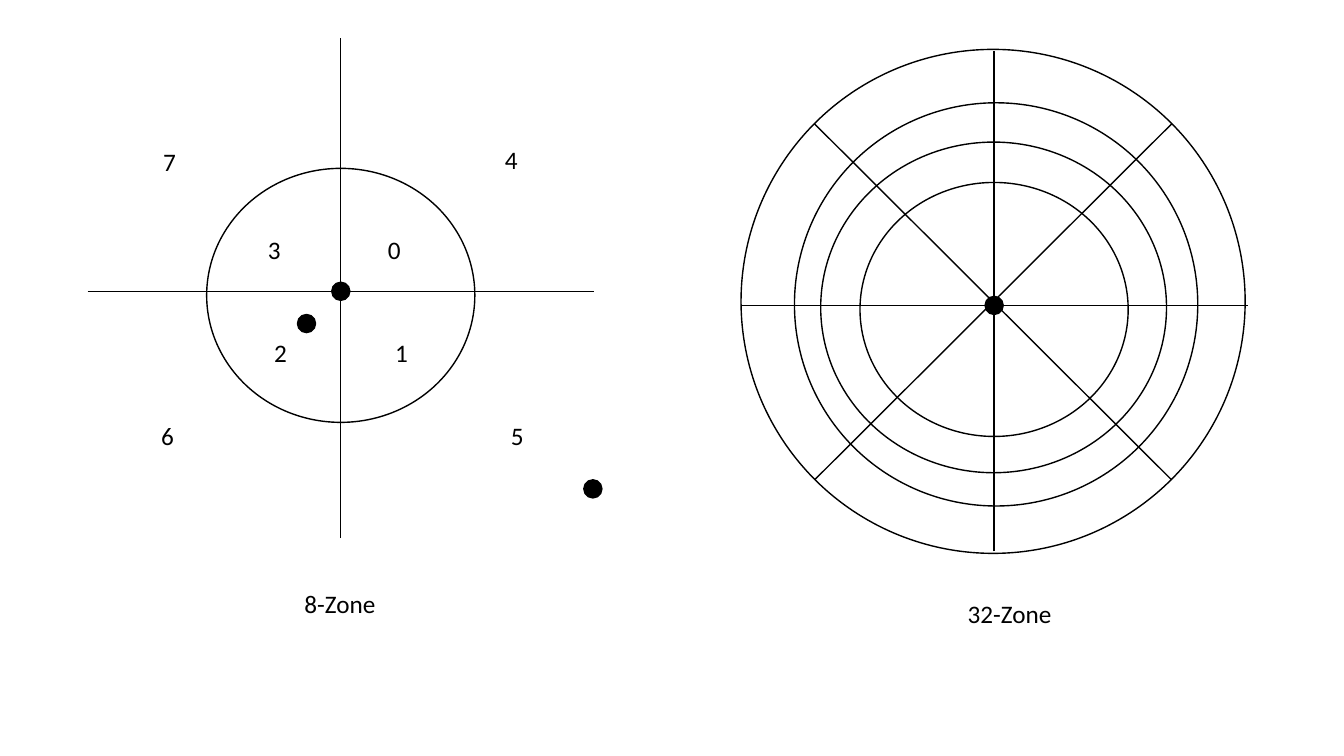
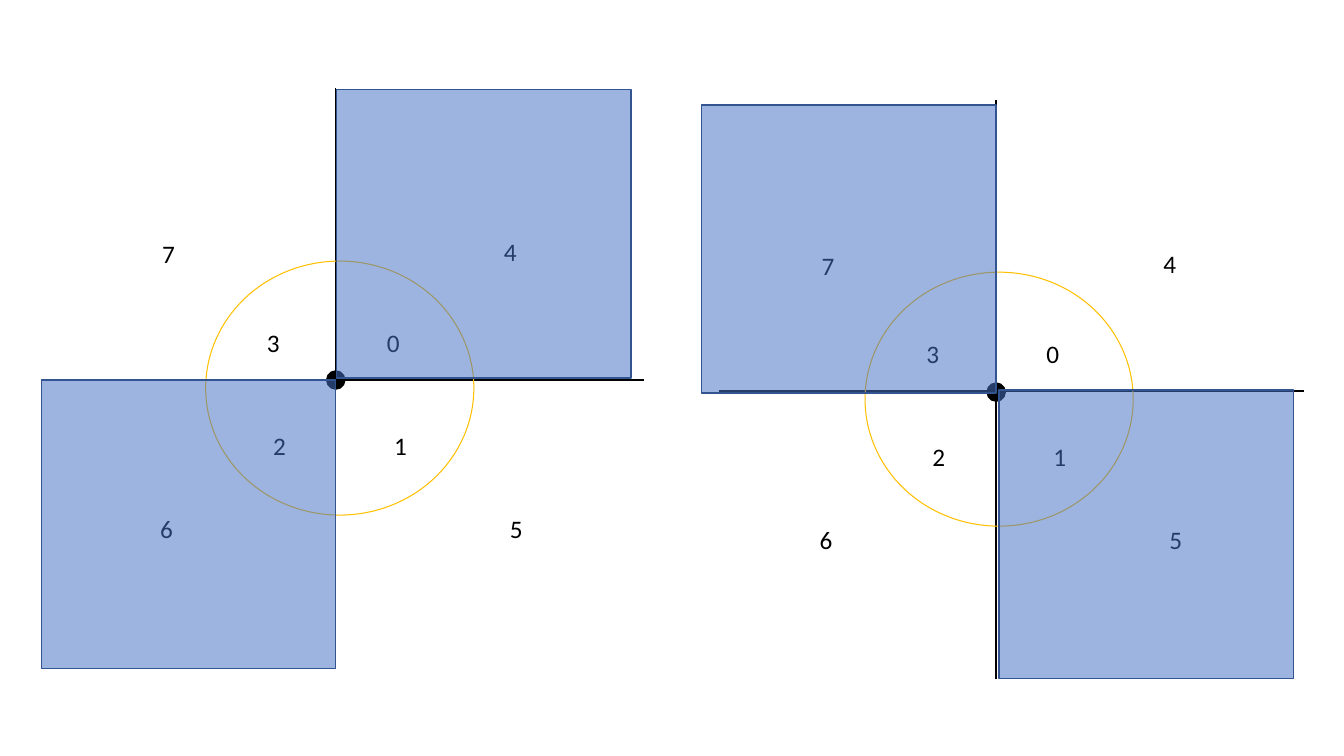
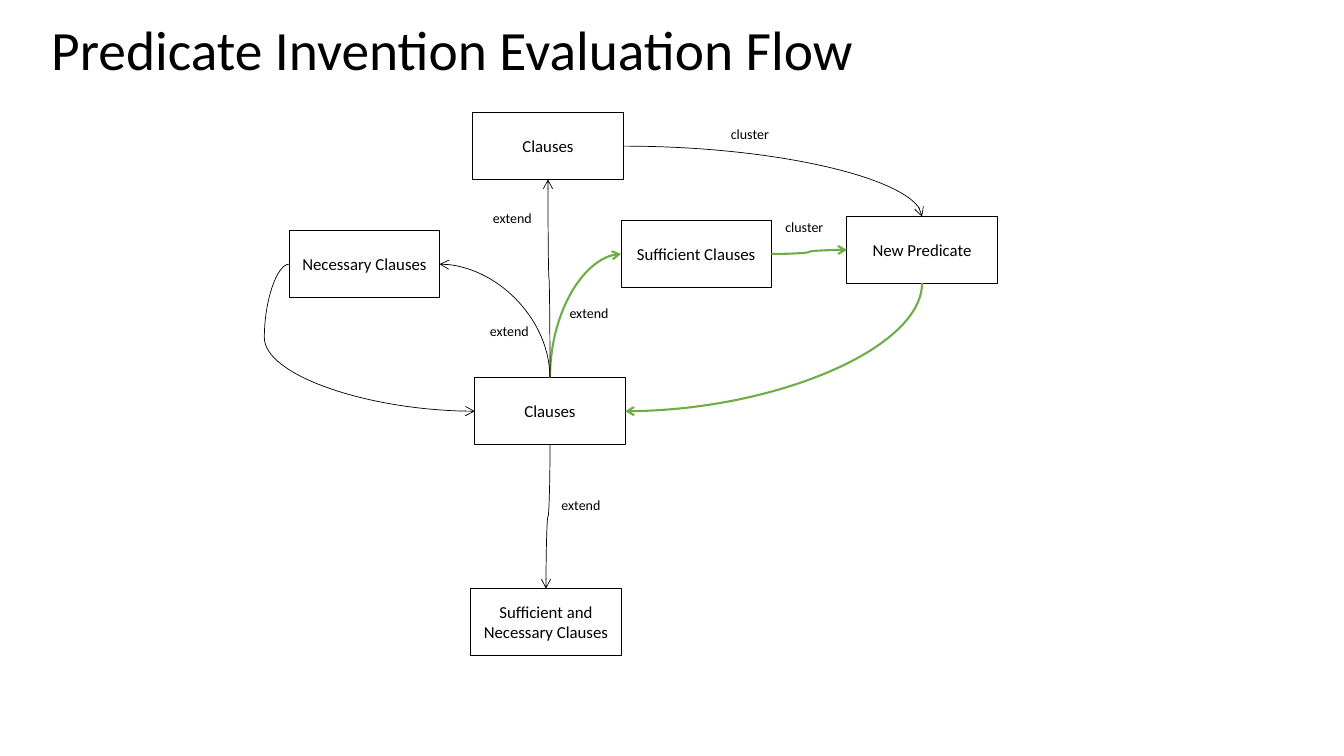
from dataclasses import dataclass

from lxml import etree
from pptx import Presentation
from pptx.dml.color import RGBColor
from pptx.enum import shapes, text
from pptx.oxml.ns import qn
from pptx.shapes.connector import Connector
from pptx.util import Inches, Pt


@dataclass(frozen=True)
class Theme:
    font: str = "Calibri"
    ink: RGBColor = RGBColor(0x00, 0x00, 0x00)
    amber: RGBColor = RGBColor(0xFF, 0xC0, 0x00)
    blue: RGBColor = RGBColor(0x44, 0x72, 0xC4)
    navy: RGBColor = RGBColor(0x32, 0x54, 0x91)
    green: RGBColor = RGBColor(0x70, 0xAD, 0x47)
    title: float = 39.6
    label: float = 18
    box: float = 12
    note: float = 10


theme = Theme()
OVAL = shapes.MSO_SHAPE.OVAL
RECTANGLE = shapes.MSO_SHAPE.RECTANGLE


def draw(slide, kind, left, top, width, height, line=theme.ink, weight=1, fill=None):
    shape = slide.shapes.add_shape(
        kind, Inches(left), Inches(top), Inches(width), Inches(height))
    shape.shadow.inherit = False
    shape.line.color.rgb = line
    shape.line.width = Pt(weight)
    if fill is None:
        shape.fill.background()
    else:
        shape.fill.solid()
        shape.fill.fore_color.rgb = fill
    return shape


def write(shape, content, size=theme.label, align=None, anchor=None, wrap=True, spacing=None):
    frame = shape.text_frame
    frame.word_wrap = wrap
    if anchor is not None:
        frame.vertical_anchor = anchor
    paragraph = frame.paragraphs[0]
    paragraph.alignment = align
    paragraph.line_spacing = spacing
    run = paragraph.add_run()
    run.text = content
    run.font.name = theme.font
    run.font.size = Pt(size)
    run.font.color.rgb = theme.ink


presentation = Presentation()
presentation.slide_width = Inches(13.33)
presentation.slide_height = Inches(7.5)
blank = presentation.slide_layouts[6]
zones, sectors, flow = [presentation.slides.add_slide(blank) for _ in range(3)]

# Axes and diagonals of the zone diagrams
for slide, x1, y1, x2, y2 in [
    (zones, 0.87, 2.89, 5.89, 2.89),
    (zones, 3.38, 5.34, 3.38, 0.38),
    (zones, 7.35, 3.03, 12.38, 3.03),
    (zones, 9.86, 5.47, 9.86, 0.51),
    (zones, 8.08, 4.76, 11.62, 1.23),
    (zones, 8.08, 1.23, 11.62, 4.76),
    (sectors, 0.59, 3.77, 6.39, 3.77),
    (sectors, 3.33, 6.63, 3.33, 0.87),
    (sectors, 7.13, 3.88, 12.93, 3.88),
    (sectors, 9.88, 6.74, 9.88, 0.99),
]:
    axis = slide.shapes.add_connector(
        shapes.MSO_CONNECTOR.STRAIGHT, Inches(x1), Inches(y1), Inches(x2), Inches(y2))
    axis.line.color.rgb = theme.ink
    axis.line.width = Pt(1)

# Eight-zone rings, with zone numbers placed from the ring's top left corner
ring_width, ring_height = 2.66, 2.52
zone_offsets = [(1.7, 0.61), (1.77, 1.63), (0.57, 1.63), (0.51, 0.61),
                (2.86, -0.29), (2.92, 2.45), (-0.55, 2.45), (-0.53, -0.27)]
for slide, left, top, colour, weight in [
    (zones, 2.05, 1.67, theme.ink, 1),
    (sectors, 2.04, 2.59, theme.amber, 0.75),
    (sectors, 8.58, 2.7, theme.amber, 0.75),
]:
    draw(slide, OVAL, left, top, ring_width, ring_height, colour, weight)
    for number, (dx, dy) in enumerate(zone_offsets):
        label = slide.shapes.add_textbox(
            Inches(left + dx), Inches(top + dy), Inches(0.33), Inches(0.4))
        write(label, str(number), wrap=False)

# Rings of the 32-zone diagram
for left, top, width, height in [
    (8.53, 1.81, ring_width, ring_height),
    (8.14, 1.41, 3.43, 3.28),
    (7.88, 1.02, 4, 4),
    (7.35, 0.49, 5, 5),
]:
    draw(zones, OVAL, left, top, width, height)

for caption, left, top, width in [("8-Zone", 2.92, 5.79, 0.91), ("32-Zone", 9.5, 5.89, 1.04)]:
    label = zones.shapes.add_textbox(Inches(left), Inches(top), Inches(width), Inches(0.4))
    write(label, caption, wrap=False)

for slide, left, top in [
    (zones, 3.29, 2.8), (zones, 9.77, 2.94), (zones, 2.95, 3.12), (zones, 5.79, 4.76),
    (sectors, 3.24, 3.68), (sectors, 9.79, 3.8),
]:
    draw(slide, OVAL, left, top, 0.18, 0.18, fill=theme.ink)

# Translucent squares over opposite quadrants
for left, top in [(0.41, 3.77), (3.34, 0.89), (6.96, 1.04), (9.91, 3.87)]:
    square = draw(sectors, RECTANGLE, left, top, 2.92, 2.86, theme.navy, 1, theme.blue)
    fill_colour = square.element.spPr.find(qn("a:solidFill")).find(qn("a:srgbClr"))
    etree.SubElement(fill_colour, qn("a:alpha"), val="53000")

# Evaluation flow
title = flow.shapes.add_textbox(Inches(0.41), Inches(0.36), Inches(11.5), Inches(0.32))
write(title, "Predicate Invention Evaluation Flow", size=theme.title,
      anchor=text.MSO_ANCHOR.MIDDLE, spacing=0.9)

boxes = {}
for name, content, left, top in [
    ("clauses", "Clauses", 4.71, 3.75),
    ("sufficient", "Sufficient Clauses", 6.16, 2.19),
    ("both", "Sufficient and Necessary Clauses", 4.67, 5.84),
    ("necessary", "Necessary Clauses", 2.87, 2.29),
    ("predicate", "New Predicate", 8.4, 2.15),
    ("extended", "Clauses", 4.69, 1.12),
]:
    boxes[name] = draw(flow, RECTANGLE, left, top, 1.49, 0.66, weight=0.75)
    write(boxes[name], content, size=theme.box, align=text.PP_ALIGN.CENTER,
          anchor=text.MSO_ANCHOR.MIDDLE)

TOP, LEFT, BOTTOM, RIGHT = range(4)
for source, exit_side, target, entry_side, colour, weight, bend in [
    ("clauses", TOP, "sufficient", LEFT, theme.green, 1.5, 0.5),
    ("sufficient", RIGHT, "predicate", LEFT, theme.green, 1.5, 0.5),
    ("clauses", TOP, "necessary", RIGHT, theme.ink, 0.5, 0.5),
    ("necessary", LEFT, "clauses", LEFT, theme.ink, 0.5, -0.135),
    ("clauses", BOTTOM, "both", TOP, theme.ink, 0.5, 0.5),
    ("predicate", BOTTOM, "clauses", RIGHT, theme.green, 1.5, 0.5),
    ("clauses", TOP, "extended", BOTTOM, theme.ink, 0.5, 0.5),
    ("extended", RIGHT, "predicate", TOP, theme.ink, 0.5, 0.5),
]:
    curve = flow.shapes.add_connector(shapes.MSO_CONNECTOR.CURVE, 0, 0, 0, 0)
    curve.begin_connect(boxes[source], exit_side)
    curve.end_connect(boxes[target], entry_side)
    curve.line.color.rgb = colour
    curve.line.width = Pt(weight)
    properties = curve._element.spPr
    etree.SubElement(properties.find(qn("a:ln")), qn("a:tailEnd"), type="arrow")

    geometry = properties.find(qn("a:prstGeom"))
    if exit_side % 2 != entry_side % 2:
        geometry.set("prst", "curvedConnector2")
    else:
        etree.SubElement(geometry.find(qn("a:avLst")), qn("a:gd"),
                         name="adj1", fmla=f"val {round(bend * 100000)}")

    # The preset leaves sideways, so a vertical exit is a quarter turn about the centre
    if exit_side in (TOP, BOTTOM):
        dx, dy = curve.end_x - curve.begin_x, curve.end_y - curve.begin_y
        centre_x, centre_y = curve.begin_x + dx // 2, curve.begin_y + dy // 2
        curve.begin_x, curve.end_x = centre_x - dy // 2, centre_x + dy // 2
        curve.begin_y, curve.end_y = centre_y + dx // 2, centre_y - dx // 2
        properties.find(qn("a:xfrm")).set("rot", "5400000")

for content, left, top, width in [
    ("extend", 4.76, 3.15, 0.75), ("extend", 5.55, 2.97, 0.75),
    ("extend", 5.47, 4.88, 0.75), ("extend", 4.79, 2.03, 0.75),
    ("cluster", 7.69, 2.12, 0.61), ("cluster", 7.15, 1.2, 0.61),
]:
    note = flow.shapes.add_textbox(Inches(left), Inches(top), Inches(width), Inches(0.27))
    write(note, content, size=theme.note)

# Connectors carry no shadow
for slide in presentation.slides:
    for shape in slide.shapes:
        if isinstance(shape, Connector):
            etree.SubElement(shape._element.spPr, qn("a:effectLst"))

presentation.save("out.pptx")
